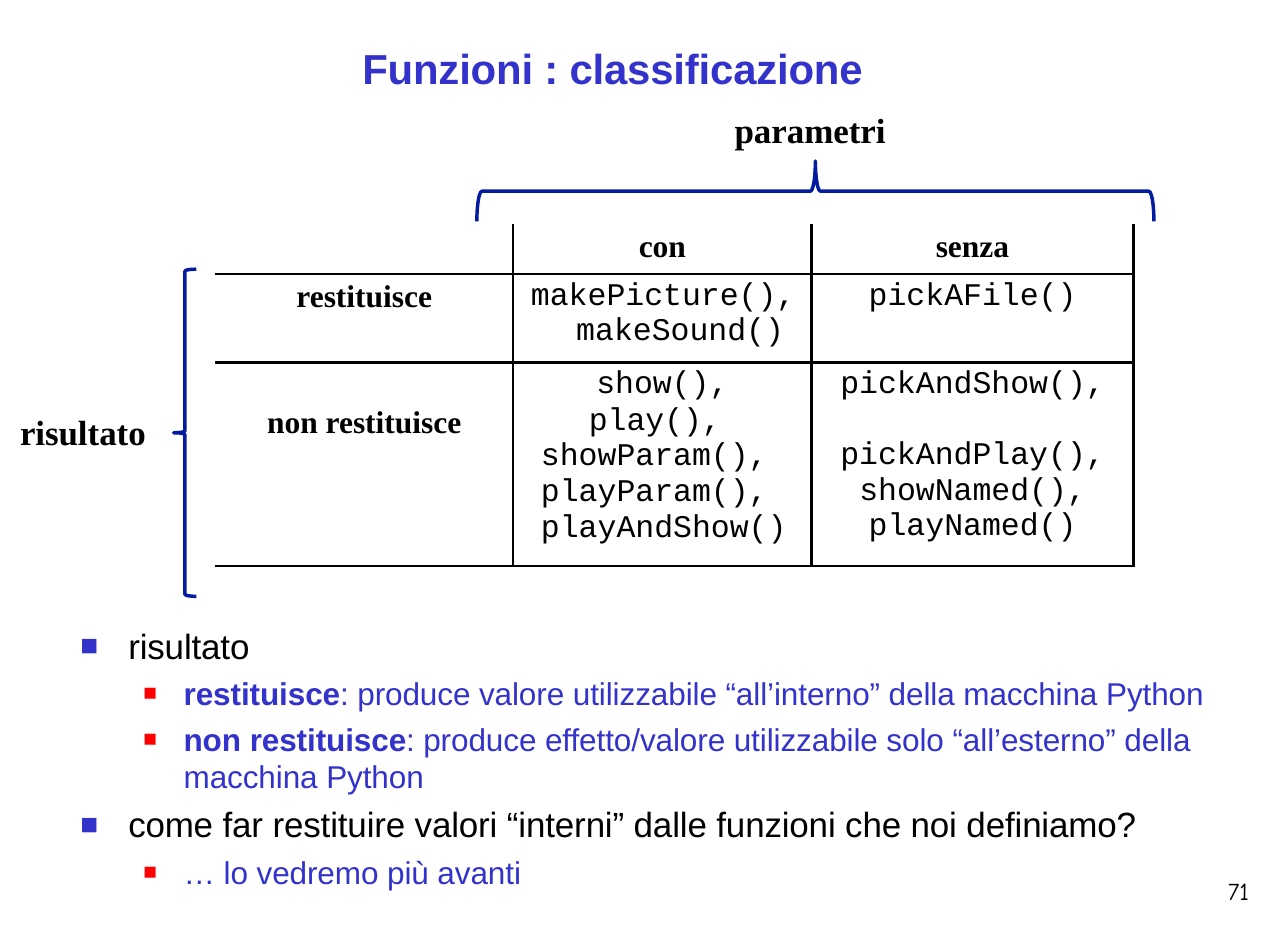
from lxml import etree
from pptx import Presentation
from pptx.dml.color import RGBColor
from pptx.enum.shapes import MSO_SHAPE
from pptx.enum.text import MSO_ANCHOR, MSO_AUTO_SIZE, PP_ALIGN
from pptx.oxml.ns import qn
from pptx.util import Inches, Pt

LEFT, MID = PP_ALIGN.LEFT, PP_ALIGN.CENTER
TOP, FIXED = MSO_ANCHOR.TOP, MSO_AUTO_SIZE.NONE
BRACE = MSO_SHAPE.LEFT_BRACE
BLACK = RGBColor(0, 0, 0)
BLUE = RGBColor(0x33, 0x33, 0xCC)
NAVY = RGBColor(0x02, 0x1C, 0xA1)
RED = RGBColor(0xFF, 0, 0)
SANS, SERIF, MONO = "Arial", "Times New Roman", "Courier New"
U = Inches(0.01)

deck = Presentation()
deck.slide_width = Pt(368.5)
deck.slide_height = Pt(267.5)
slide = deck.slides.add_slide(deck.slide_layouts[1])
shapes = slide.shapes


def place(shape, x, y, w, h, top=1, wrap=True):
    shape.left, shape.top, shape.width, shape.height = U * x, U * y, U * w, U * h
    frame = shape.text_frame
    frame.margin_left = frame.margin_right = frame.margin_bottom = 0
    frame.margin_top = U * top
    frame.vertical_anchor = TOP
    frame.auto_size = FIXED
    frame.word_wrap = wrap
    return frame


def write(frame, text, lead="", font=SANS, size=9, color=BLACK, bold=False,
          align=LEFT, before=0, level=0, left=0, hang=0, gap=0, mark=None):
    para = frame.paragraphs[0]
    if para.runs:
        para = frame.add_paragraph()
    para.alignment, para.level = align, level
    para.space_before, para.line_spacing = Pt(before), 1.0
    props = para._p.get_or_add_pPr()
    props.set("marL", str(U * left))
    props.set("indent", str(-U * hang))
    if mark:
        tint, share = mark
        hue = etree.SubElement(props, qn("a:buClr"))
        etree.SubElement(hue, qn("a:srgbClr"), val=str(tint))
        etree.SubElement(props, qn("a:buSzPct"), val=str(share * 1000))
        etree.SubElement(props, qn("a:buFont"), typeface=SANS)
        etree.SubElement(props, qn("a:buChar"), char="■")
    for i, line in enumerate(text.split("\n")):
        if i:
            para.add_line_break()
        for words, thick in ((lead, True), (line, bold)):
            if words:
                run = para.add_run()
                run.text = words
                run.font.name, run.font.size = font, Pt(size)
                run.font.bold, run.font.color.rgb = thick, color
                run._r.get_or_add_rPr().set("spc", str(gap))
        lead = ""


title = place(shapes.title, 143, 16, 204, 23, wrap=False)
write(title, "Funzioni : classificazione", size=12, color=BLUE, bold=True, left=1, gap=-5)

body = place(slide.placeholders[1], 31, 244, 458, 112, top=4)
points = [
    (0, "", "risultato"),
    (1, "restituisce", ": produce valore utilizzabile “all’interno” della macchina Python"),
    (1, "non restituisce",
     ": produce effetto/valore utilizzabile solo “all’esterno” della macchina Python"),
    (0, "", "come far restituire valori “interni” dalle funzioni che noi definiamo?"),
    (1, "", "… lo vedremo più avanti"),
]
styles = [
    dict(size=10, left=20, hang=19, mark=(BLUE, 85)),
    dict(color=BLUE, left=42, hang=16, mark=(RED, 72)),
]
for i, (level, lead, text) in enumerate(points):
    write(body, text, lead, level=level, before=2.2 if i else 0, gap=-2, **styles[level])

labels = [
    ("71", (487, 347, 13, 14), dict(font="Comic Neue", size=7)),
    ("parametri", (291, 42, 63, 19), dict(font=SERIF, size=10, bold=True)),
    ("risultato", (7, 162, 53, 19), dict(font=SERIF, size=10, bold=True)),
]
for text, area, style in labels:
    box = shapes.add_textbox(0, 0, 0, 0)
    write(place(box, *area, wrap=False), text, left=1, **style)

for x, y, w, h, turn in ((69, 107, 9, 130, 0), (312, -58.5, 24, 269, 90)):
    brace = shapes.add_shape(BRACE, U * x, int(U * y), U * w, U * h)
    brace.rotation = turn
    brace.shadow.inherit = False
    brace.fill.background()
    brace.line.color.rgb, brace.line.width = NAVY, Pt(1)

cols, rows = (118.5, 118.5, 128), (20, 35, 81)
grid = shapes.add_table(3, 3, int(U * 85.5), U * 89, int(U * sum(cols)), U * sum(rows)).table
grid.first_row = grid.horz_banding = False
for col, wide in zip(grid.columns, cols):
    col.width = int(U * wide)
for row, high in zip(grid.rows, rows):
    row.height = U * high

head = dict(font=SERIF, bold=True, align=MID)
code = dict(font=MONO)
center = dict(font=MONO, align=MID)
cells = {
    (0, 1): [("con", head)],
    (0, 2): [("senza", head)],
    (1, 0): [("restituisce", head)],
    (1, 1): [("makePicture(),\nmakeSound()", dict(code, left=25, hang=18))],
    (1, 2): [("pickAFile()", center)],
    (2, 0): [("non restituisce", head)],
    (2, 1): [("show(),", dict(code, left=33)),
             ("play(),", dict(code, left=30, before=0.3)),
             ("showParam(),\nplayParam(),\nplayAndShow()", dict(code, left=11))],
    (2, 2): [("pickAndShow(),", center),
             ("pickAndPlay(),\nshowNamed(),\nplayNamed()", dict(center, before=10.2))],
}
for r in range(3):
    for c in range(3):
        cell = grid.cell(r, c)
        cell.margin_left = cell.margin_right = cell.margin_bottom = 0
        cell.margin_top = U * (17 if (r, c) == (2, 0) else 2)
        props = cell._tc.get_or_add_tcPr()
        for side, drawn in (("L", c > 0), ("R", True), ("T", r > 0), ("B", True)):
            edge = etree.SubElement(props, qn("a:ln" + side), w=str(Pt(0.75)))
            fill = etree.SubElement(edge, qn("a:solidFill" if drawn else "a:noFill"))
            if drawn:
                etree.SubElement(fill, qn("a:srgbClr"), val=str(BLACK))
        cell.fill.background()
        for text, style in cells.get((r, c), []):
            write(cell.text_frame, text, **style)
        if (r, c) not in cells:
            blank = cell.text_frame.paragraphs[0]._p
            etree.SubElement(blank, qn("a:endParaRPr"), sz="900")

deck.save("out.pptx")
